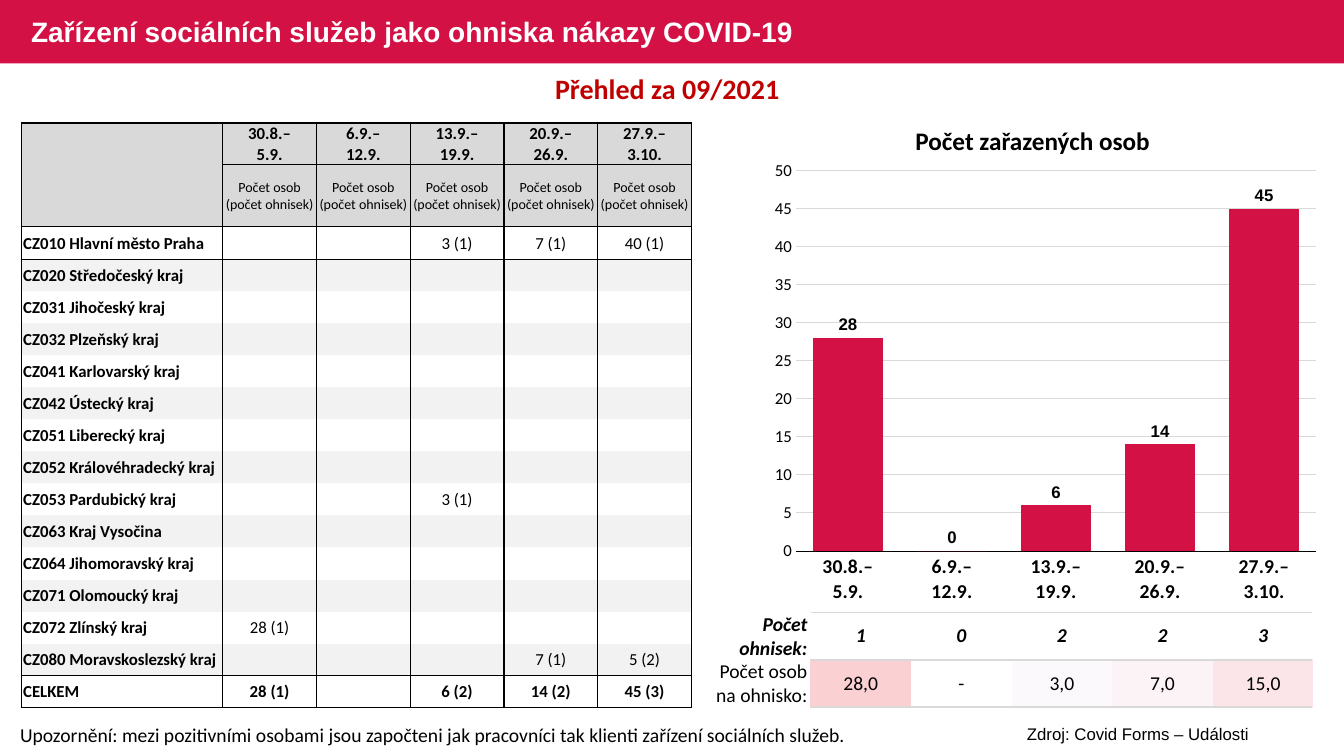
from lxml import etree
from pptx import Presentation
from pptx import util as u
from pptx.chart.data import CategoryChartData
from pptx.dml.color import RGBColor
from pptx.enum import chart as ch, shapes, text
from pptx.oxml import parse_xml
from pptx.oxml.ns import nsdecls, qn

COLUMNS, ROWS = 160, 90
CELL = u.Emu(76200)
BLACK = RGBColor(0, 0, 0)
WHITE = RGBColor(0xFF, 0xFF, 0xFF)
CRIMSON = RGBColor(0xD3, 0x11, 0x45)
DARK_RED = RGBColor(0xC0, 0, 0)
HEADER_GREY = RGBColor(0xD9, 0xD9, 0xD9)
BAND_GREY = RGBColor(0xF2, 0xF2, 0xF2)
RATE_TINTS = [RGBColor.from_string(tint) if tint else None
              for tint in ("FBD0D3", None, "FCF9FC", "FCF3F6", "FCE5E8")]
PLAIN_STYLE = "{2D5ABB26-0587-4C30-8999-92F81FD0307C}"
LEFT, CENTER, RIGHT = text.PP_ALIGN.LEFT, text.PP_ALIGN.CENTER, text.PP_ALIGN.RIGHT

WEEKS = [("30.8.–", "5.9."), ("6.9.–", "12.9."), ("13.9.–", "19.9."),
         ("20.9.–", "26.9."), ("27.9.–", "3.10.")]
PERSONS = [28, 0, 6, 14, 45]
OUTBREAKS = ["1", "0", "2", "2", "3"]
RATES = ["28,0", "-", "3,0", "7,0", "15,0"]
REGIONS = [
    ("CZ010 Hlavní město Praha", {3: "3 (1)", 4: "7 (1)", 5: "40 (1)"}),
    ("CZ020 Středočeský kraj", {}),
    ("CZ031 Jihočeský kraj", {}),
    ("CZ032 Plzeňský kraj", {}),
    ("CZ041 Karlovarský kraj", {}),
    ("CZ042 Ústecký kraj", {}),
    ("CZ051 Liberecký kraj", {}),
    ("CZ052 Královéhradecký kraj", {}),
    ("CZ053 Pardubický kraj", {3: "3 (1)"}),
    ("CZ063 Kraj Vysočina", {}),
    ("CZ064 Jihomoravský kraj", {}),
    ("CZ071 Olomoucký kraj", {}),
    ("CZ072 Zlínský kraj", {1: "28 (1)"}),
    ("CZ080 Moravskoslezský kraj", {4: "7 (1)", 5: "5 (2)"}),
    ("CELKEM", {1: "28 (1)", 3: "6 (2)", 4: "14 (2)", 5: "45 (3)"}),
]


def grid(*cells):
    return [u.Emu(round(CELL * count)) for count in cells]


def style(font, size, color=BLACK, bold=False, italic=False, name="Calibri"):
    font.size, font.bold, font.italic, font.name = u.Pt(size), bold, italic, name
    font.color.rgb = color


def add_text(page, place, wording, align=LEFT, middle=False, spacing=None, **look):
    frame = page.shapes.add_textbox(*grid(*place)).text_frame
    frame.word_wrap = True
    if middle:
        frame.vertical_anchor = text.MSO_ANCHOR.MIDDLE
    else:
        frame.auto_size = text.MSO_AUTO_SIZE.SHAPE_TO_FIT_TEXT
    para = frame.paragraphs[0]
    para.text, para.alignment = wording, align
    if spacing:
        para.line_spacing = spacing
    style(para.font, **look)


def add_band(page):
    band = page.shapes.add_shape(shapes.MSO_SHAPE.RECTANGLE, *grid(0, 0, COLUMNS, 7.56))
    band.shadow.inherit = False
    band.fill.solid()
    band.fill.fore_color.rgb = CRIMSON
    band.line.fill.background()


def add_table(page, left, top, widths, heights):
    place = grid(left, top, sum(widths), sum(heights))
    table = page.shapes.add_table(len(heights), len(widths), *place).table
    table.first_row = table.horz_banding = False
    table._tbl.tblPr.find(qn("a:tableStyleId")).text = PLAIN_STYLE
    for column, width in zip(table.columns, grid(*widths)):
        column.width = width
    for row, height in zip(table.rows, grid(*heights)):
        row.height = height
    return table


def fill_cell(cell, wording="", align=CENTER, right=0.01, fill=None, size=12, **look):
    cell.margin_left, cell.margin_right = u.Inches(0.01), u.Inches(right)
    cell.margin_top, cell.margin_bottom = u.Inches(0.01), 0
    cell.vertical_anchor = text.MSO_ANCHOR.MIDDLE
    para = cell.text_frame.paragraphs[0]
    para.text, para.alignment = wording, align
    style(para.font, size, **look)
    if fill is None:
        cell.fill.background()
    else:
        cell.fill.solid()
        cell.fill.fore_color.rgb = fill


def border(cell, color, **widths):
    properties = cell._tc.get_or_add_tcPr()
    for index, (side, width) in enumerate(widths.items()):
        properties.insert(index, parse_xml(
            f'<a:ln{side} {nsdecls("a")} w="{u.Pt(width)}"><a:solidFill>'
            f'<a:srgbClr val="{color}"/></a:solidFill></a:ln{side}>'))


def add_region_table(page):
    table = add_table(page, 2.52, 14.64, [24] + [11.16] * 5, [4.92, 7.44] + [3.82] * 15)
    last = len(REGIONS) + 1
    for column in range(6):
        week = "\v".join(WEEKS[column - 1]) if column else ""
        unit = "Počet osob (počet ohnisek)" if column else ""
        fill_cell(table.cell(0, column), week, fill=HEADER_GREY, bold=True)
        fill_cell(table.cell(1, column), unit, fill=HEADER_GREY, size=10)
        for row, (region, counts) in enumerate(REGIONS, 2):
            cell = table.cell(row, column)
            fill = BAND_GREY if row % 2 and row < last else None
            if column:
                fill_cell(cell, counts.get(column, ""), fill=fill, bold=row == last)
            else:
                fill_cell(cell, region, LEFT, 0.02, fill, bold=True)
                cell.margin_left = u.Inches(0.02)
        for row in range(last + 1):
            edges = {"L": 1, "R": 1}
            if row in (0, last) or (row == 1 and column):
                edges["T"] = 1
            if row == 2:
                edges["T"] = 0.5
            if row in (last - 1, last) or (row == 0 and column):
                edges["B"] = 1
            if row == 1:
                edges["B"] = 0.5
            border(table.cell(row, column), BLACK, **edges)


def add_rate_table(page):
    table = add_table(page, 96.48, 72.72, [11.98] * 5, [5.76] * 2)
    for column, (outbreak, rate, tint) in enumerate(zip(OUTBREAKS, RATES, RATE_TINTS)):
        fill_cell(table.cell(0, column), outbreak, size=14, bold=True, italic=True)
        fill_cell(table.cell(1, column), rate, fill=tint, size=14)


def add_label_table(page):
    table = add_table(page, 84.48, 72.96, [12.12] + [8.52] * 7, [5.58] * 2)
    for row, label in enumerate(["Počet ohnisek:", "Počet osob na ohnisko:"]):
        strong = row == 0
        fill_cell(table.cell(row, 0), label, RIGHT, 0.04, size=14, bold=strong, italic=strong)
        table.cell(row, 0).margin_top = 0
        for column in range(1, 8):
            fill_cell(table.cell(row, column))
            border(table.cell(row, column), HEADER_GREY, T=1, B=1)


def add_persons_chart(page):
    data = CategoryChartData()
    data.categories = ["\n".join(week) for week in WEEKS]
    data.add_series("Počet osob", PERSONS)
    chart = page.shapes.add_chart(ch.XL_CHART_TYPE.COLUMN_CLUSTERED,
                                  *grid(90.72, 18.12, 67.32, 54.6), data).chart
    chart.has_legend = chart.has_title = False
    style(chart.font, 14, bold=True, name="Arial")
    plot = chart.plots[0]
    plot.gap_width, plot.vary_by_categories = 50, False
    bars = plot.series[0]
    bars.format.fill.solid()
    bars.format.fill.fore_color.rgb = CRIMSON
    labels = bars.data_labels
    labels.show_value, labels.position = True, ch.XL_LABEL_POSITION.OUTSIDE_END
    style(labels.font, 12, bold=True, name="Arial")
    weeks, counts = chart.category_axis, chart.value_axis
    weeks.major_tick_mark = counts.major_tick_mark = ch.XL_TICK_MARK.NONE
    style(weeks.tick_labels.font, 14, bold=True)
    style(counts.tick_labels.font, 12)
    weeks.format.line.color.rgb, weeks.format.line.width = BLACK, u.Pt(0.75)
    counts.format.line.fill.background()
    counts.minimum_scale, counts.maximum_scale, counts.major_unit = 0, 50, 5
    lines = counts.major_gridlines.format.line
    lines.color.rgb, lines.width = HEADER_GREY, u.Pt(0.75)
    area = chart._chartSpace.chart.plotArea
    for old in area.findall(qn("c:layout")):
        area.remove(old)
    layout = etree.Element(qn("c:layout"))
    manual = etree.SubElement(layout, qn("c:manualLayout"))
    for tag, value in [("layoutTarget", "inner"), ("xMode", "edge"), ("yMode", "edge"),
                       ("x", 0.06), ("y", 0.04), ("w", 0.92), ("h", 0.83)]:
        etree.SubElement(manual, qn(f"c:{tag}")).set("val", str(value))
    area.insert(0, layout)


def main():
    deck = Presentation()
    deck.slide_width, deck.slide_height = grid(COLUMNS, ROWS)
    page = deck.slides.add_slide(deck.slide_layouts[6])
    add_band(page)
    add_rate_table(page)
    add_text(page, (1.2, 85.44, 102.24, 4.08),
             "Upozornění: mezi pozitivními osobami jsou započteni jak pracovníci "
             "tak klienti zařízení sociálních služeb.", size=14)
    add_text(page, (2.52, 0.24, 97.56, 7.56),
             "Zařízení sociálních služeb jako ohniska nákazy COVID-19",
             middle=True, spacing=0.9, size=20, color=WHITE, bold=True, name="Arial")
    add_text(page, (112.2, 85.56, 46.56, 3.6), "Zdroj: Covid Forms – Události",
             CENTER, size=12, name="Arial")
    add_text(page, (2.52, 7.92, 153.84, 5.28), "Přehled za 09/2021",
             CENTER, size=20, color=DARK_RED, bold=True)
    add_region_table(page)
    add_persons_chart(page)
    add_text(page, (90.72, 14.28, 64.44, 4.8), "Počet zařazených osob",
             CENTER, size=18, bold=True)
    add_label_table(page)
    deck.save("out.pptx")


if __name__ == "__main__":
    main()
